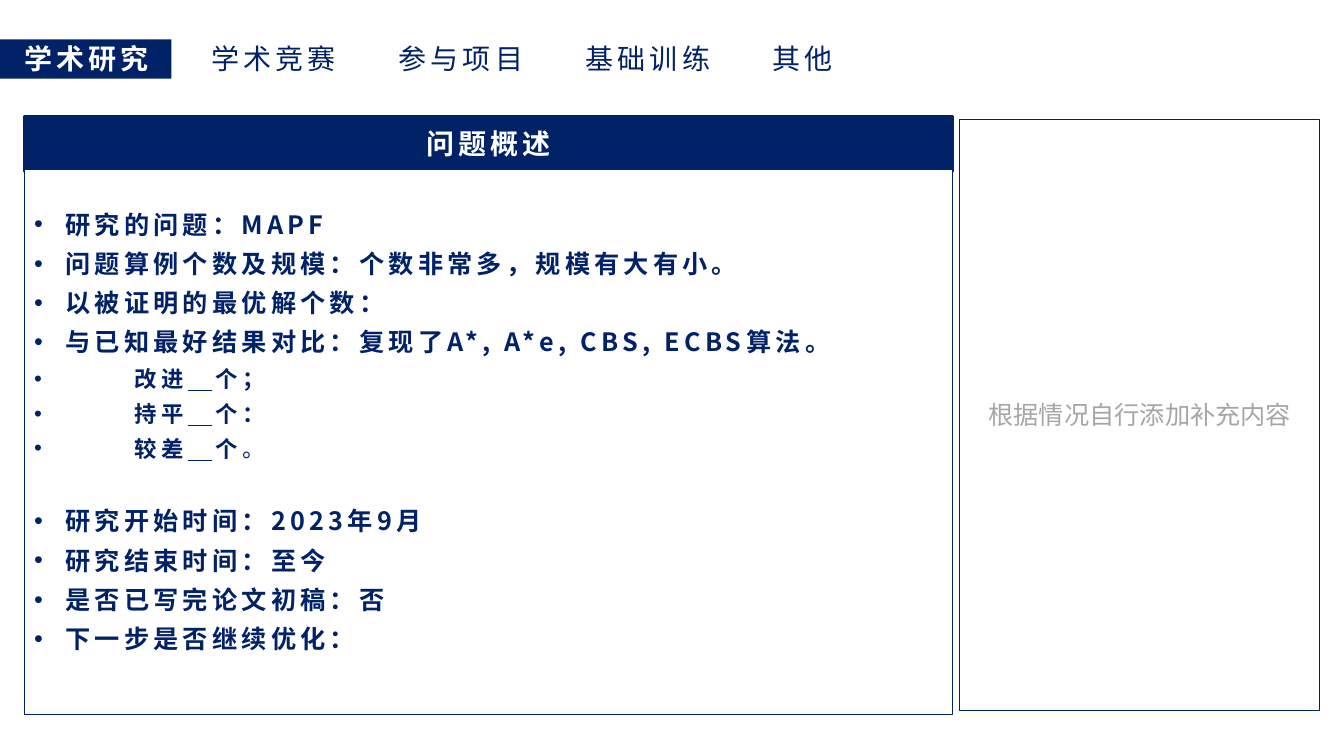
from dataclasses import dataclass

from lxml import etree
from pptx import Presentation
from pptx.dml.color import RGBColor
from pptx.enum import shapes, text
from pptx.oxml import ns
from pptx.util import Inches, Pt


@dataclass(frozen=True)
class Theme:
    navy: RGBColor = RGBColor(0x01, 0x22, 0x67)
    white: RGBColor = RGBColor(0xFF, 0xFF, 0xFF)
    gray: RGBColor = RGBColor(0xA6, 0xA6, 0xA6)
    cjk: str = "Noto Sans CJK SC"
    latin: str = "Arial"
    head: int = 20
    body: int = 18
    sub: int = 16
    track: int = 300


THEME = Theme()
LEFT, WIDE = 0.24, 9.21
TABS = ["学术研究", "学术竞赛", "参与项目", "基础训练", "其他"]
TAB_STEP = (7.66 - LEFT) / (len(TABS) - 1)
ISSUES = [
    "研究的问题：MAPF",
    "问题算例个数及规模：个数非常多，规模有大有小。",
    "以被证明的最优解个数：",
    "与已知最好结果对比：复现了A*, A*e, CBS, ECBS算法。",
]
COUNTS = [("改进", "个；"), ("持平", "个："), ("较差", "个。")]
STATUS = [
    "研究开始时间：2023年9月",
    "研究结束时间：至今",
    "是否已写完论文初稿：否",
    "下一步是否继续优化：",
]
BLANK = "   "


def style(para, size, color, bold=False, name=THEME.cjk, track=THEME.track):
    font = para.font
    font.size, font.bold, font.name = Pt(size), bold, name
    font.color.rgb = color
    props = para._p.pPr.find(ns.qn("a:defRPr"))
    props.set("spc", str(track))
    face = etree.Element(ns.qn("a:ea"), typeface=THEME.cjk)
    props.find(ns.qn("a:latin")).addnext(face)


def paint(shape, fill, line=None):
    shape.fill.solid()
    shape.fill.fore_color.rgb = fill
    if line:
        shape.line.color.rgb = THEME.navy
        shape.line.width = Pt(line)
    else:
        shape.line.fill.background()


def add_box(slide, left, top, width, height, fill, line=None):
    box = slide.shapes.add_shape(
        shapes.MSO_SHAPE.RECTANGLE,
        Inches(left), Inches(top), Inches(width), Inches(height))
    box.shadow.inherit = False
    paint(box, fill, line)
    frame = box.text_frame
    frame.word_wrap = True
    frame.vertical_anchor = text.MSO_ANCHOR.MIDDLE
    return frame


def add_tab(slide, left, label, active):
    width = 1.29 if len(label) > 2 else 0.65
    box = slide.shapes.add_textbox(
        Inches(left), Inches(0.41), Inches(width), Inches(0.34))
    frame = box.text_frame
    frame.margin_left = frame.margin_right = 0
    frame.margin_top = frame.margin_bottom = 0
    frame.word_wrap = False
    frame.auto_size = text.MSO_AUTO_SIZE.SHAPE_TO_FIT_TEXT
    frame.vertical_anchor = text.MSO_ANCHOR.MIDDLE
    para = frame.paragraphs[0]
    para.text = label
    style(para, THEME.head, THEME.white if active else THEME.navy, active)


def set_title(slide, label):
    title = slide.shapes.title
    title.left, title.top = Inches(LEFT), Inches(1.15)
    title.width, title.height = Inches(WIDE), Inches(0.55)
    paint(title, THEME.navy, 2)
    frame = title.text_frame
    frame.vertical_anchor = text.MSO_ANCHOR.MIDDLE
    para = frame.paragraphs[0]
    para.text = label
    para.alignment = text.PP_ALIGN.CENTER
    style(para, THEME.head, THEME.white, True)


def add_item(frame, size=THEME.body, indent=0.31, gap=0):
    para = frame.paragraphs[0]
    if para.runs:
        para = frame.add_paragraph()
    para.alignment = text.PP_ALIGN.LEFT
    para.line_spacing = 1.3
    if gap:
        para.space_before = Pt(gap)
    props = para._p.get_or_add_pPr()
    props.set("marL", str(Inches(indent)))
    props.set("indent", str(-Inches(indent)))
    etree.SubElement(props, ns.qn("a:buFont"), typeface=THEME.latin)
    etree.SubElement(props, ns.qn("a:buChar"), char="•")
    style(para, size, THEME.navy, True)
    return para


def fill_body(frame):
    frame.margin_bottom = Inches(0.35)
    for line in ISSUES:
        add_item(frame).add_run().text = line
    # Counts with a blank to fill in
    for label, unit in COUNTS:
        para = add_item(frame, THEME.sub, indent=1)
        para.add_run().text = label
        blank = para.add_run()
        blank.text = BLANK
        blank.font.underline = True
        para.add_run().text = unit[0]
        stop = para.add_run()
        stop.text = unit[1]
        if stop.text == "。":
            stop.font.bold = False
    for row, line in enumerate(STATUS):
        add_item(frame, gap=0 if row else 25).add_run().text = line


def main():
    deck = Presentation()
    deck.slide_width, deck.slide_height = Inches(13.33), Inches(7.5)
    slide = deck.slides.add_slide(deck.slide_layouts[5])

    # Navigation
    add_box(slide, 0, 0.39, 1.7, 0.39, THEME.navy)
    for spot, label in enumerate(TABS):
        add_tab(slide, LEFT + spot * TAB_STEP, label, spot == 0)

    # Side panel
    side = add_box(slide, 9.52, 1.18, 3.57, 5.87, THEME.white, 0.5)
    para = side.paragraphs[0]
    para.text = "根据情况自行添加补充内容"
    para.alignment = text.PP_ALIGN.CENTER
    style(para, THEME.body, THEME.gray, name=THEME.latin, track=0)

    # Problem overview
    set_title(slide, "问题概述")
    fill_body(add_box(slide, LEFT, 1.68, WIDE, 5.41, THEME.white, 0.5))

    deck.save("out.pptx")


if __name__ == "__main__":
    main()
